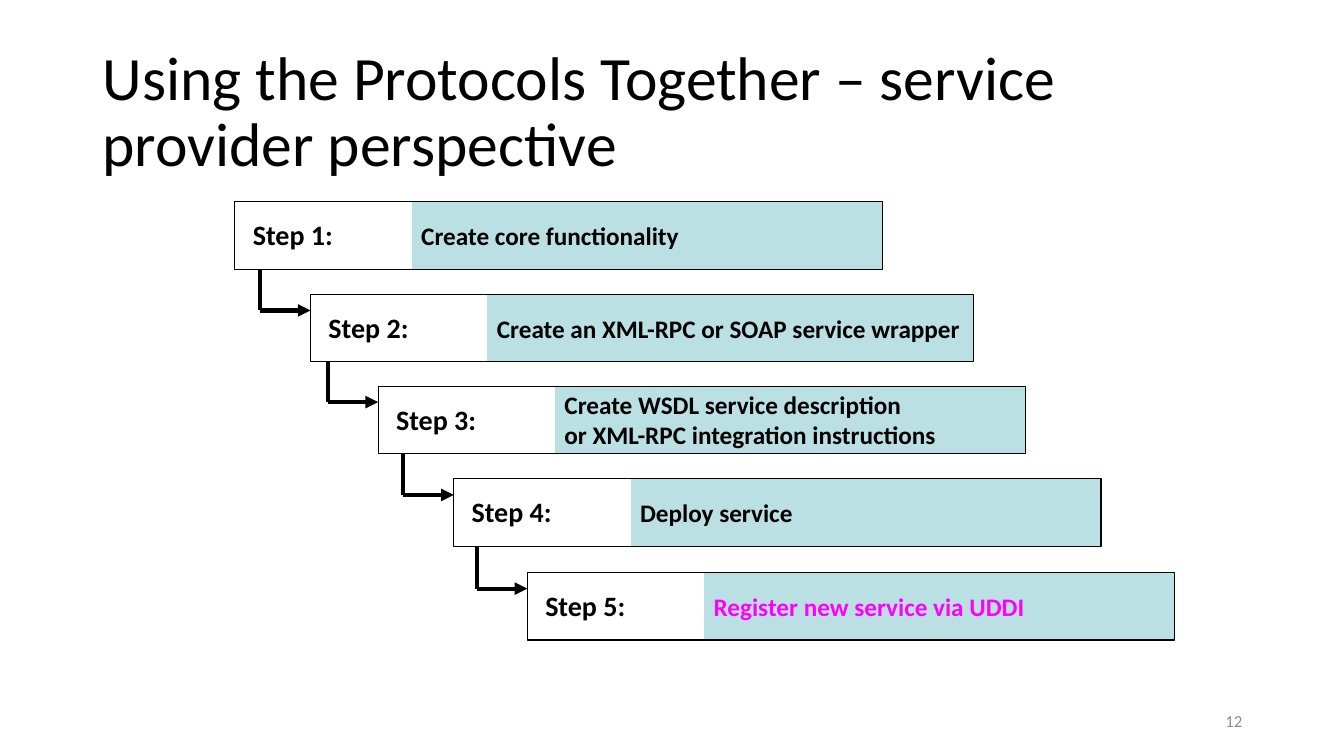
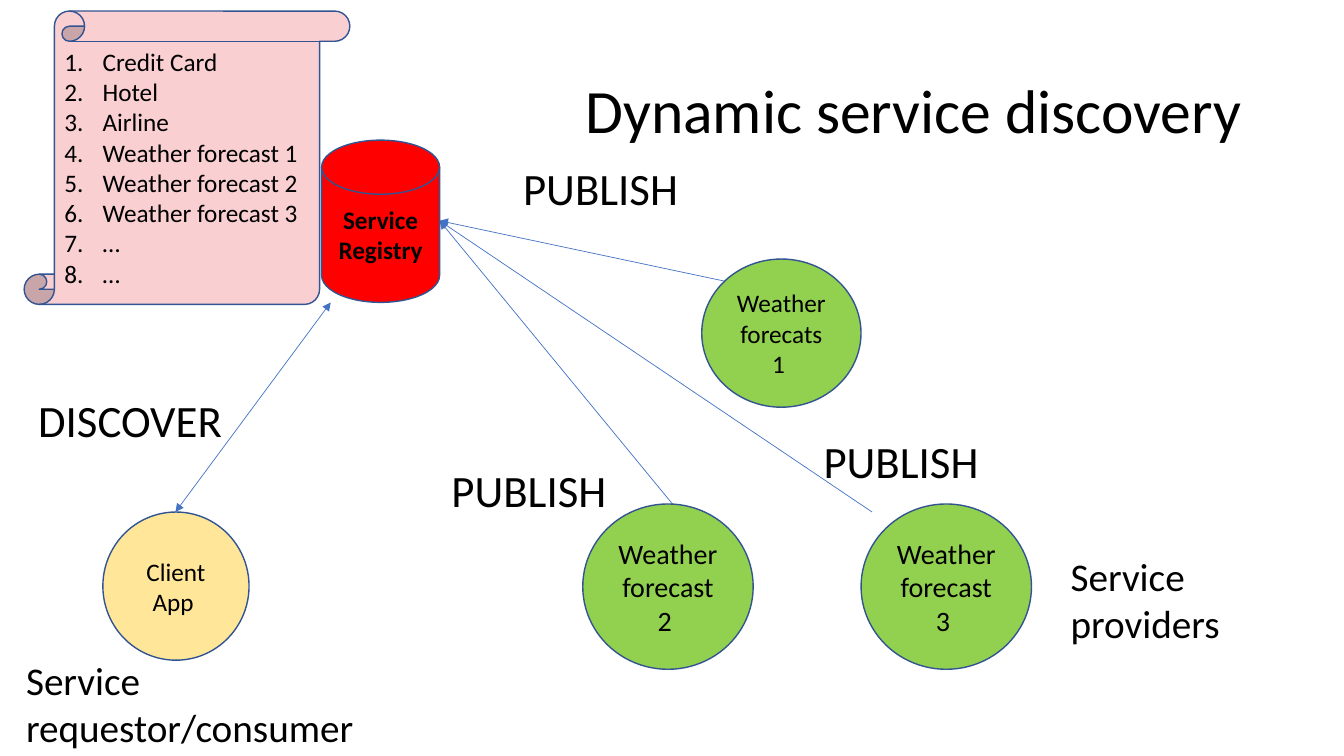
from lxml.etree import SubElement
from pptx import Presentation
from pptx.dml.color import RGBColor
from pptx.enum.shapes import MSO_CONNECTOR, MSO_SHAPE
from pptx.enum.text import MSO_ANCHOR, PP_ALIGN
from pptx.oxml.ns import qn
from pptx.util import Inches, Pt

FONT = "Calibri"
BLACK = RGBColor(0x00, 0x00, 0x00)
WHITE = RGBColor(0xFF, 0xFF, 0xFF)
GRAY = RGBColor(0x8C, 0x8C, 0x8C)
TEAL = RGBColor(0xBB, 0xE0, 0xE3)
MAGENTA = RGBColor(0xFF, 0x00, 0xFF)
GREEN = RGBColor(0x92, 0xD0, 0x50)
RED = RGBColor(0xFF, 0x00, 0x00)
PINK = RGBColor(0xF9, 0xCF, 0xD2)
YELLOW = RGBColor(0xFF, 0xE6, 0x99)
OUTLINE = RGBColor(0x32, 0x54, 0x91)
BLUE = RGBColor(0x44, 0x72, 0xC4)

STEP_HEIGHT = 0.67
STEP_LABEL_WIDTH = 1.75
STEPS = [
    # left, top, width, lines, colour
    (2.33, 2, 6.42, ["Create core functionality"], BLACK),
    (3.08, 2.92, 6.58, ["Create an XML-RPC or SOAP service wrapper"], BLACK),
    (3.75, 3.83, 6.42, ["Create WSDL service description",
                        "or XML-RPC integration instructions"], BLACK),
    (4.5, 4.75, 6.42, ["Deploy service"], BLACK),
    (5.23, 5.68, 6.42, ["Register new service via UDDI"], MAGENTA),
]
REGISTERED_SERVICES = ["Credit Card", "Hotel", "Airline", "Weather forecast 1",
                       "Weather forecast 2", "Weather forecast 3", "…", "…"]


def write_text(shape, lines, size, color=BLACK, bold=False, align=PP_ALIGN.LEFT,
               anchor=MSO_ANCHOR.TOP, wrap=True, line_spacing=None):
    """Fill a shape with one paragraph per line."""
    frame = shape.text_frame
    frame.word_wrap = wrap
    frame.vertical_anchor = anchor
    for index, line in enumerate(lines):
        paragraph = frame.add_paragraph() if index else frame.paragraphs[0]
        paragraph.alignment = align
        paragraph.line_spacing = line_spacing
        run = paragraph.add_run()
        run.text = line
        run.font.name = FONT
        run.font.size = Pt(size)
        run.font.bold = bold
        run.font.color.rgb = color


def add_label(slide, box, text, size, **text_format):
    shape = slide.shapes.add_textbox(*map(Inches, box))
    write_text(shape, [text], size, **text_format)


def add_title(slide, text, align=PP_ALIGN.LEFT):
    add_label(slide, (0.92, 0.4, 11.5, 1.45), text, 44, align=align,
              anchor=MSO_ANCHOR.MIDDLE, line_spacing=0.9)


def add_box(slide, kind, box, fill, line, line_width):
    shape = slide.shapes.add_shape(kind, *map(Inches, box))
    shape.shadow.inherit = False
    if fill is None:
        shape.fill.background()
    else:
        shape.fill.solid()
        shape.fill.fore_color.rgb = fill
    shape.line.color.rgb = line
    shape.line.width = Pt(line_width)
    return shape


def add_line(slide, start, end, color, width, arrows=()):
    """Draw a line; arrows names the ends, headEnd and then tailEnd."""
    connector = slide.shapes.add_connector(
        MSO_CONNECTOR.STRAIGHT, *map(Inches, (*start, *end)))
    connector.line.color.rgb = color
    connector.line.width = Pt(width)
    outline = connector.line._get_or_add_ln()
    for arrow in arrows:
        SubElement(outline, qn(f"a:{arrow}"), type="triangle")
    SubElement(connector._element.spPr, qn("a:effectLst"))


def number_paragraphs(shape):
    for paragraph in shape.text_frame.paragraphs:
        properties = paragraph._p.get_or_add_pPr()
        properties.set("marL", str(Inches(0.38)))
        properties.set("indent", str(-Inches(0.38)))
        SubElement(properties, qn("a:buFont"), typeface="+mj-lt")
        SubElement(properties, qn("a:buAutoNum"), type="arabicPeriod")


def add_step(slide, number, left, top, width, lines, color):
    action = add_box(slide, MSO_SHAPE.RECTANGLE,
                     (left + STEP_LABEL_WIDTH, top, width - STEP_LABEL_WIDTH, STEP_HEIGHT),
                     TEAL, WHITE, 0.75)
    write_text(action, lines, 18, color=color, bold=True,
               anchor=MSO_ANCHOR.MIDDLE, wrap=False)
    add_label(slide, (left + 0.08, top + 0.11, 1, 0.44), f"Step {number}:", 20,
              bold=True, wrap=False)
    add_box(slide, MSO_SHAPE.RECTANGLE, (left, top, width, STEP_HEIGHT), None, BLACK, 0.75)


def add_elbow(slide, start_top, left, top):
    """Lead from the bottom of one step to the side of the step at left, top."""
    corner = (left - 0.5, top + 0.16)
    add_line(slide, corner, (left, corner[1]), BLACK, 3, ["tailEnd"])
    add_line(slide, (corner[0], start_top), corner, BLACK, 3)


def add_circle(slide, box, fill, lines, size):
    circle = add_box(slide, MSO_SHAPE.FLOWCHART_CONNECTOR, box, fill, OUTLINE, 1)
    write_text(circle, lines, size, align=PP_ALIGN.CENTER, anchor=MSO_ANCHOR.MIDDLE)


def add_registry(slide, left, top):
    """Draw the scroll of services and the registry disk beside it."""
    disk = add_box(slide, MSO_SHAPE.FLOWCHART_MAGNETIC_DISK,
                   (left + 2.95, top + 1.28, 1.17, 1.61), RED, OUTLINE, 1)
    write_text(disk, ["Service Registry"], 18, bold=True,
               align=PP_ALIGN.CENTER, anchor=MSO_ANCHOR.MIDDLE)
    scroll = add_box(slide, MSO_SHAPE.VERTICAL_SCROLL, (left, top, 3.23, 2.91),
                     PINK, OUTLINE, 1)
    scroll.adjustments[0] = 0.103
    write_text(scroll, REGISTERED_SERVICES, 18)
    number_paragraphs(scroll)


def build_provider_slide(slide):
    add_title(slide, "Using the Protocols Together – service provider perspective")
    add_label(slide, (9.42, 6.95, 3, 0.4), "12", 12, color=GRAY,
              align=PP_ALIGN.RIGHT, anchor=MSO_ANCHOR.MIDDLE)
    for number, step in enumerate(STEPS, 1):
        add_step(slide, number, *step)
    for previous, step in zip(STEPS, STEPS[1:]):
        add_elbow(slide, previous[1] + STEP_HEIGHT, step[0], step[1])


def build_discovery_slide(slide):
    registry_side = (4.36, 2.19)
    for provider in [(7.19, 2.79), (6.67, 5), (8.65, 5.08)]:
        add_line(slide, provider, registry_side, BLUE, 0.5, ["tailEnd"])
    add_line(slide, (1.74, 5.08), (3.28, 3), BLUE, 0.5, ["headEnd", "tailEnd"])
    add_registry(slide, 0.24, 0.11)

    add_circle(slide, (6.96, 2.57, 1.58, 1.47), GREEN, ["Weather forecats", "1 "], 18)
    for left, number in [(5.78, 2), (8.54, 3)]:
        add_circle(slide, (left, 5, 1.69, 1.64), GREEN,
                   ["Weather forecast", f"{number} "], 20)
    add_circle(slide, (1.02, 5.08, 1.45, 1.47), YELLOW, ["Client App "], 18)

    for left, top in [(5.09, 1.55), (8.07, 4.25), (4.38, 4.54)]:
        add_label(slide, (left, top, 1.94, 0.64), "PUBLISH", 32)
    add_label(slide, (0.28, 3.85, 2.19, 0.64), "DISCOVER", 32)
    add_label(slide, (10.52, 5.43, 2.53, 1.04), "Service providers", 28)
    add_label(slide, (0.16, 6.46, 3.86, 1.04), "Service requestor/consumer", 28)
    add_title(slide, "Dynamic service discovery", align=PP_ALIGN.RIGHT)


def main():
    presentation = Presentation()
    presentation.slide_width = Inches(13.33)
    presentation.slide_height = Inches(7.5)
    blank_layout = presentation.slide_layouts[6]
    for build in (build_provider_slide, build_discovery_slide):
        build(presentation.slides.add_slide(blank_layout))
    presentation.save("out.pptx")


if __name__ == "__main__":
    main()
